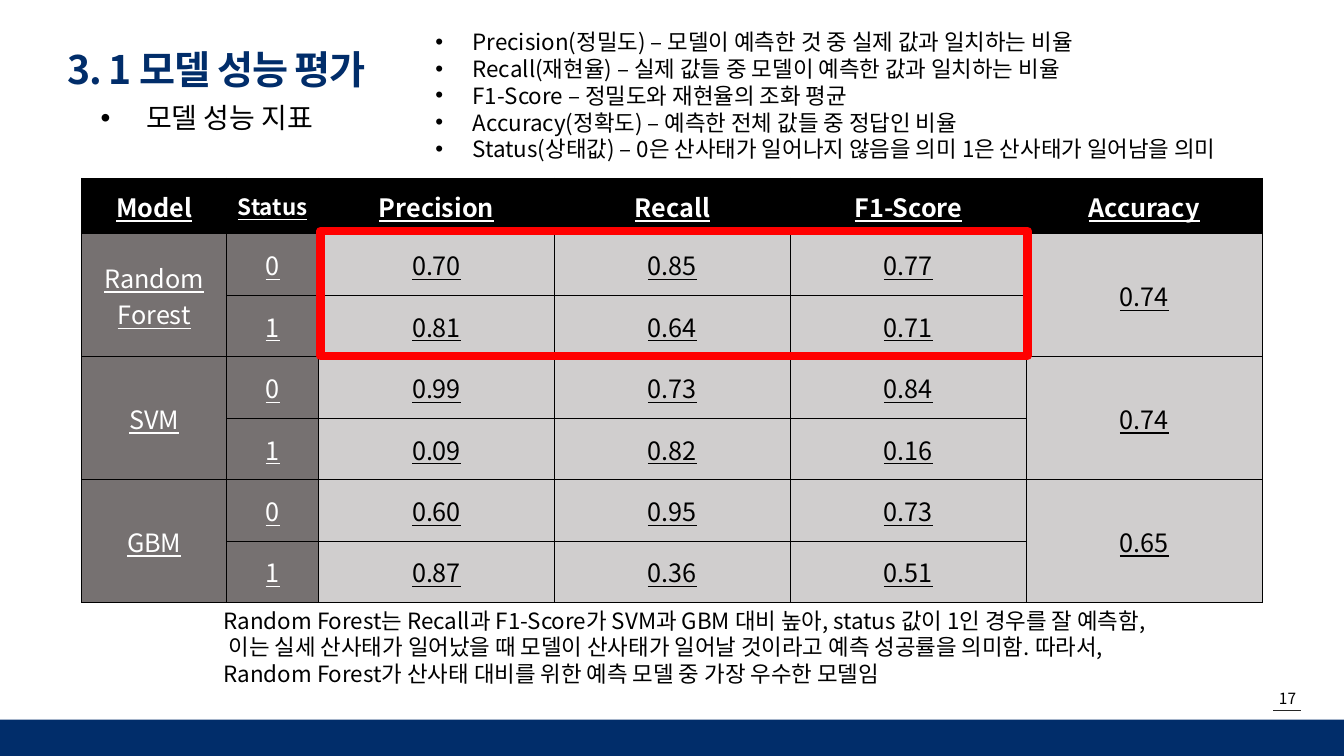
from lxml.etree import SubElement
from pptx import Presentation
from pptx.dml.color import RGBColor
from pptx.enum.shapes import MSO_CONNECTOR, MSO_SHAPE
from pptx.enum.text import MSO_ANCHOR, PP_ALIGN
from pptx.oxml.ns import qn
from pptx.util import Inches, Pt

FONT = "Noto Sans CJK KR"
COLORS = {
    "navy": "012D6A", "black": "000000", "white": "FFFFFF", "label": "767171",
    "score": "D0CECE", "highlight": "FF0000", "rule": "262626",
}
METRICS = [
    "Precision(정밀도) – 모델이 예측한 것 중 실제 값과 일치하는 비율",
    "Recall(재현율) – 실제 값들 중 모델이 예측한 값과 일치하는 비율",
    "F1-Score – 정밀도와 재현율의 조화 평균",
    "Accuracy(정확도) – 예측한 전체 값들 중 정답인 비율",
    "Status(상태값) – 0은 산사태가 일어나지 않음을 의미 1은 산사태가 일어남을 의미",
]
HEADERS = ["Model", "Status", "Precision", "Recall", "F1-Score", "Accuracy"]
RESULTS = [
    ("Random Forest", [("0.70", "0.85", "0.77"), ("0.81", "0.64", "0.71")], "0.74"),
    ("SVM", [("0.99", "0.73", "0.84"), ("0.09", "0.82", "0.16")], "0.74"),
    ("GBM", [("0.60", "0.95", "0.73"), ("0.87", "0.36", "0.51")], "0.65"),
]
CONCLUSION = (
    "Random Forest는 Recall과 F1-Score가 SVM과 GBM 대비 높아, status 값이 1인 경우를 "
    "잘 예측함, 이는 실세 산사태가 일어났을 때 모델이 산사태가 일어날 것이라고 예측 성공률을 "
    "의미함. 따라서, Random Forest가 산사태 대비를 위한 예측 모델 중 가장 우수한 모델임"
)


def rgb(color):
    """Return the named colour."""
    return RGBColor.from_string(COLORS[color])


def add_run(paragraph, text, size, color="black", bold=False, underline=False):
    """Add one run in the slide's font and return it."""
    run = paragraph.add_run()
    run.text = text
    font = run.font
    font.size, font.bold, font.underline = Pt(size), bold, underline
    font.color.rgb = rgb(color)
    font.name = FONT
    SubElement(font._element, qn("a:ea"), typeface=FONT)
    return run


def add_bullet(paragraph, indent):
    """Give a paragraph a hanging round bullet."""
    properties = paragraph._p.get_or_add_pPr()
    properties.set("marL", str(Inches(indent)))
    properties.set("indent", str(-Inches(indent)))
    SubElement(properties, qn("a:buFont"), typeface="Arial")
    SubElement(properties, qn("a:buChar"), char="•")


def add_text(slide, box, lines, size, indent=0, align=PP_ALIGN.LEFT):
    """Add a wrapping text box, bulleted when an indent is given."""
    frame = slide.shapes.add_textbox(*map(Inches, box)).text_frame
    frame.word_wrap = True
    for number, line in enumerate(lines):
        paragraph = frame.add_paragraph() if number else frame.paragraphs[0]
        paragraph.alignment = align
        paragraph.line_spacing = Pt(size * 1.2)
        if indent:
            add_bullet(paragraph, indent)
        add_run(paragraph, line, size)


def add_title(slide, text):
    """Place and format the title placeholder."""
    title = slide.shapes.title
    title.left, title.top, title.width, title.height = map(Inches, (0.57, 0.27, 6.1, 0.68))
    frame = title.text_frame
    frame.vertical_anchor = MSO_ANCHOR.MIDDLE
    paragraph = frame.paragraphs[0]
    paragraph.alignment = PP_ALIGN.LEFT
    paragraph.line_spacing = 1.3
    run = add_run(paragraph, text, 28, "navy", bold=True)
    run.font._element.set("spc", "-80")


def add_rectangle(slide, box, fill=None, line=None, weight=0):
    """Add a plain rectangle with an optional fill and outline."""
    rectangle = slide.shapes.add_shape(MSO_SHAPE.RECTANGLE, *map(Inches, box))
    rectangle.shadow.inherit = False
    if fill:
        rectangle.fill.solid()
        rectangle.fill.fore_color.rgb = rgb(fill)
    else:
        rectangle.fill.background()
    if line:
        rectangle.line.color.rgb = rgb(line)
        rectangle.line.width = Pt(weight)
    else:
        rectangle.line.fill.background()


def style_cell(cell, fill):
    """Fill a cell and draw thin black borders around it."""
    cell.vertical_anchor = MSO_ANCHOR.MIDDLE
    properties = cell._tc.get_or_add_tcPr()
    for side in ("a:lnL", "a:lnR", "a:lnT", "a:lnB"):
        border = SubElement(properties, qn(side), w=str(Pt(1)))
        ink = SubElement(border, qn("a:solidFill"))
        SubElement(ink, qn("a:srgbClr"), val=COLORS["black"])
    cell.fill.solid()
    cell.fill.fore_color.rgb = rgb(fill)


def write_cell(cell, text, size=18, color="black", bold=False):
    """Write centred, underlined cell text."""
    paragraph = cell.text_frame.paragraphs[0]
    paragraph.alignment = PP_ALIGN.CENTER
    add_run(paragraph, text, size, color, bold, underline=True)


def add_results(slide):
    """Add the table of scores for each model and status."""
    rows, columns = 1 + 2 * len(RESULTS), len(HEADERS)
    box = map(Inches, (0.81, 1.77, 11.7, 4.2))
    table = slide.shapes.add_table(rows, columns, *box).table
    for column, width in zip(table.columns, [1.44, 0.91] + [2.34] * 4):
        column.width = Inches(width)
    for number, row in enumerate(table.rows):
        row.height = Inches(0.61 if number else 0.55)
        for column in range(columns):
            fill = "black" if number == 0 else "label" if column < 2 else "score"
            style_cell(table.cell(number, column), fill)
    for column, header in enumerate(HEADERS):
        size = 16 if header == "Status" else 18
        write_cell(table.cell(0, column), header, size, "white", bold=True)
    for index, (model, scores, accuracy) in enumerate(RESULTS):
        top = 1 + 2 * index
        for column in (0, columns - 1):
            table.cell(top, column).merge(table.cell(top + 1, column))
        write_cell(table.cell(top, 0), model, color="white")
        write_cell(table.cell(top, columns - 1), accuracy)
        for status, values in enumerate(scores):
            write_cell(table.cell(top + status, 1), str(status), color="white")
            for column, value in enumerate(values, 2):
                write_cell(table.cell(top + status, column), value)


def add_footer(slide):
    """Add the page number, its rule and the bottom band."""
    add_text(slide, (12.43, 6.79, 0.68, 0.29), ["17"], 11, align=PP_ALIGN.CENTER)
    ends = map(Inches, (12.63, 7.05, 12.9, 7.05))
    rule = slide.shapes.add_connector(MSO_CONNECTOR.STRAIGHT, *ends)
    rule.line.color.rgb = rgb("rule")
    rule.line.width = Pt(0.5)
    SubElement(rule._element.spPr, qn("a:effectLst"))
    add_rectangle(slide, (0, 7.14, 13.33, 0.36), fill="navy")


def main():
    """Build the model evaluation slide."""
    deck = Presentation()
    deck.slide_width, deck.slide_height = Inches(13.33), Inches(7.5)
    slide = deck.slides.add_slide(deck.slide_layouts[5])
    add_footer(slide)
    add_text(slide, (0.9, 0.95, 7.41, 0.44), ["모델 성능 지표"], 20, indent=0.45)
    add_title(slide, "3. 1 모델 성능 평가")
    add_results(slide)
    add_text(slide, (4.22, 0.23, 8.4, 1.45), METRICS, 16, indent=0.37)
    add_rectangle(slide, (3.18, 2.29, 7.01, 1.24), line="highlight", weight=6)
    add_text(slide, (2.12, 5.97, 9.28, 0.91), [CONCLUSION], 16)
    deck.save("out.pptx")


if __name__ == "__main__":
    main()
